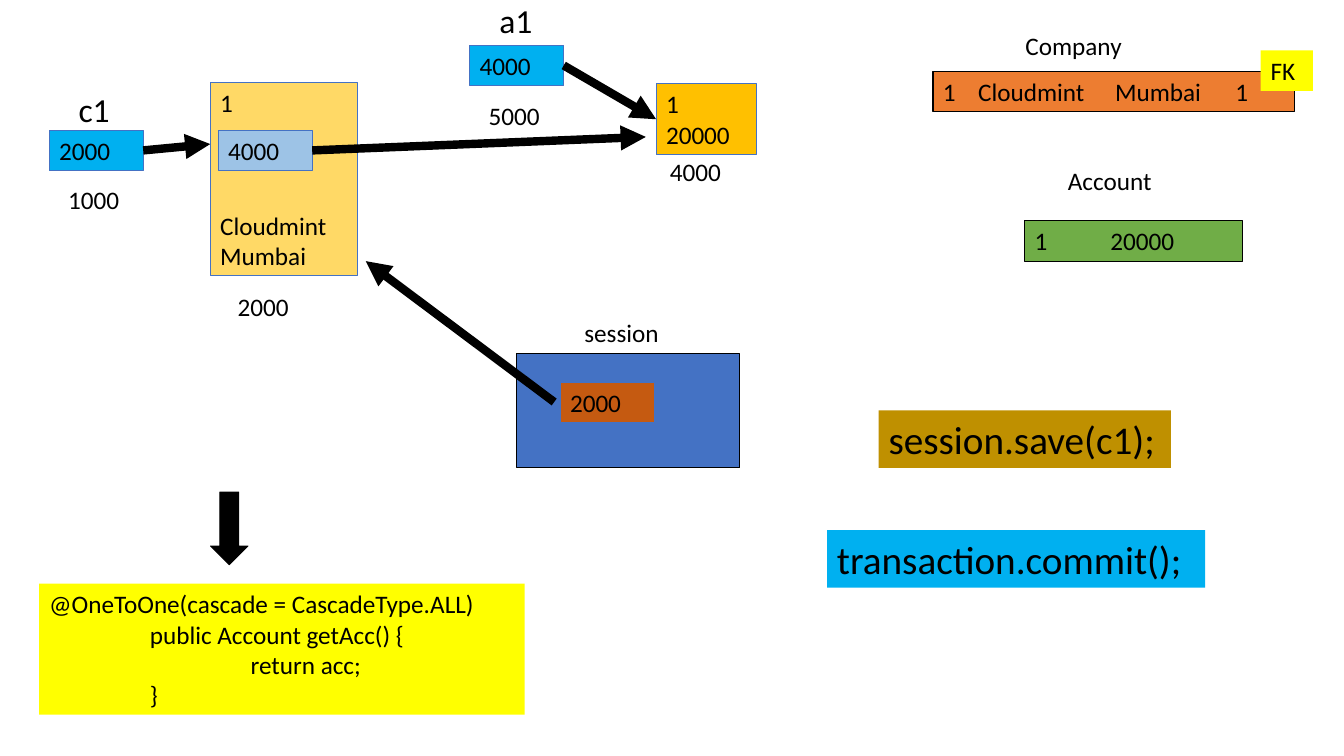
from dataclasses import dataclass
from pptx import Presentation
from pptx.dml.color import RGBColor
from pptx.enum.shapes import MSO_CONNECTOR, MSO_SHAPE
from pptx.enum.text import MSO_ANCHOR, PP_ALIGN
from pptx.oxml.ns import qn
from pptx.util import Cm, Pt
from lxml.etree import SubElement


@dataclass(frozen=True)
class Theme:
    font: str = "Calibri"
    body: int = 18
    name: int = 24
    call: int = 28
    black: str = "000000"
    blue: str = "4472C4"
    sky: str = "00B0F0"
    pale_blue: str = "9DC3E6"
    sand: str = "FFD966"
    gold: str = "FFC000"
    dark_gold: str = "BF9000"
    orange: str = "ED7D31"
    rust: str = "C55A11"
    green: str = "70AD47"
    yellow: str = "FFFF00"


theme = Theme()
deck = Presentation()
deck.slide_width, deck.slide_height = Cm(33.88), Cm(19.05)
page = deck.slides.add_slide(deck.slide_layouts[6])


def add_box(place, fill, line=None, kind=MSO_SHAPE.RECTANGLE):
    box = page.shapes.add_shape(kind, *map(Cm, place))
    box.shadow.inherit = False
    box.fill.solid()
    box.fill.fore_color.rgb = RGBColor.from_string(fill)
    if line:
        box.line.color.rgb = RGBColor.from_string(line)
        box.line.width = Pt(0.75)
    else:
        box.line.fill.background()
    return box


def write(box, text, size=theme.body, stops=()):
    frame = box.text_frame
    frame.word_wrap = True
    frame.vertical_anchor = MSO_ANCHOR.TOP
    frame.text = text
    for para in frame.paragraphs:
        para.alignment = PP_ALIGN.LEFT
        if stops:
            tabs = SubElement(para._p.get_or_add_pPr(), qn("a:tabLst"))
            for stop in stops:
                SubElement(tabs, qn("a:tab"), pos=str(Cm(stop)), algn="l")
        para.font.name = theme.font
        para.font.size = Pt(size)
        para.font.color.rgb = RGBColor.from_string(theme.black)


company_object = add_box((5.3, 2.08, 3.72, 4.86), theme.sand, theme.blue)
write(company_object, "1\nCloudmint\nMumbai")
company_object.text_frame.paragraphs[1].space_before = Pt(66)

account_object = add_box((16.54, 2.11, 2.52, 1.79), theme.gold, theme.blue)
write(account_object, "1\n20000")

add_box((13.03, 8.92, 5.62, 2.87), theme.blue, theme.black)

references = {}
for name, text, left, top, fill in [
    ("c1", "2000", 1.24, 3.28, theme.sky),
    ("account field", "4000", 5.5, 3.28, theme.pale_blue),
    ("a1", "4000", 11.84, 1.14, theme.sky),
    ("session entry", "2000", 14.12, 9.63, theme.rust),
]:
    references[name] = add_box((left, top, 2.37, 1.02), fill, theme.blue)
    write(references[name], text)

for text, left, top, width, size in [
    ("c1", 1.73, 2.11, 1.5, theme.name),
    ("a1", 12.34, -0.13, 1.5, theme.name),
    ("1000", 1.47, 4.52, 1.95, theme.body),
    ("2000", 5.74, 7.21, 1.95, theme.body),
    ("5000", 12.07, 2.41, 1.95, theme.body),
    ("4000", 16.64, 3.81, 1.95, theme.body),
    ("Company", 25.6, 0.64, 4.45, theme.body),
    ("Account", 26.67, 4.04, 3.4, theme.body),
    ("session", 14.48, 7.87, 2.74, theme.body),
]:
    label = page.shapes.add_textbox(Cm(left), Cm(top), Cm(width), Cm(1.02))
    write(label, text, size)

company_row = add_box((23.52, 1.8, 9.12, 1.02), theme.orange, theme.black)
write(company_row, "1\tCloudmint\tMumbai\t1", stops=(0.89, 4.34, 7.37))
account_row = add_box((25.83, 5.56, 5.49, 1.02), theme.green, theme.black)
write(account_row, "1\t20000", stops=(1.91,))
foreign_key = add_box((31.78, 1.27, 1.32, 1.02), theme.yellow)
write(foreign_key, "FK")

write(add_box((22.15, 10.34, 7.37, 1.45), theme.dark_gold), "session.save(c1);", theme.call)
write(add_box((20.85, 13.36, 9.53, 1.45), theme.sky), "transaction.commit();", theme.call)

mapping = """@OneToOne(cascade = CascadeType.ALL)
\tpublic Account getAcc() {
\t\treturn acc;
\t}"""
write(add_box((0.99, 14.71, 12.24, 3.3), theme.yellow), mapping, stops=(2.54, 5.08))

for start, end, source, target in [
    ((14.21, 1.65), (16.54, 3.0), references["a1"], account_object),
    ((7.87, 3.79), (16.28, 3.45), references["account field"], None),
    ((3.61, 3.79), (5.3, 3.63), references["c1"], None),
    ((13.97, 10.13), (9.22, 6.58), None, None),
]:
    arrow = page.shapes.add_connector(MSO_CONNECTOR.STRAIGHT, *map(Cm, start + end))
    if source:
        arrow.begin_connect(source, 3)
    if target:
        arrow.end_connect(target, 1)
    arrow.line.color.rgb = RGBColor.from_string(theme.black)
    arrow.line.width = Pt(6)
    SubElement(arrow.line._get_or_add_ln(), qn("a:tailEnd"), type="triangle")
    SubElement(arrow._element.spPr, qn("a:effectLst"))

add_box((5.31, 12.4, 0.94, 1.83), theme.black, theme.black, MSO_SHAPE.DOWN_ARROW)

deck.save("out.pptx")
